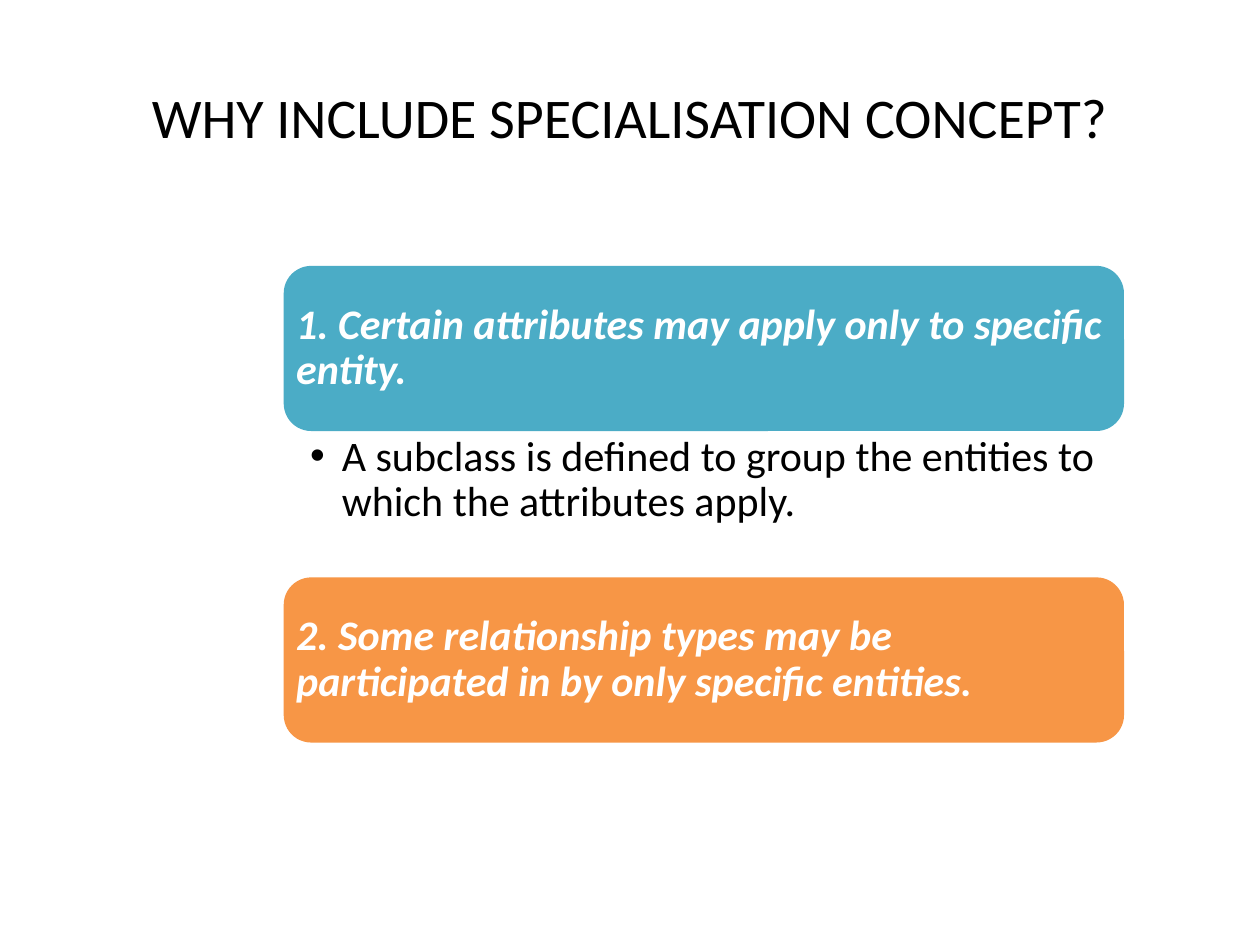
import dataclasses

import lxml.etree
import pptx
import pptx.dml.color
import pptx.enum.shapes
import pptx.enum.text
import pptx.oxml.ns
import pptx.util

Cm = pptx.util.Cm
Align = pptx.enum.text.PP_ALIGN
Anchor = pptx.enum.text.MSO_ANCHOR


@dataclasses.dataclass(frozen=True)
class Theme:
    font: str = "Calibri"
    ink: str = "000000"
    pale: str = "FFFFFF"
    teal: str = "4BACC6"
    orange: str = "F79646"
    head: int = 32
    text: int = 24


@dataclasses.dataclass(frozen=True)
class Box:
    left: float
    top: float
    width: float
    height: float


@dataclasses.dataclass(frozen=True)
class Card:
    text: str
    fill: str


THEME = Theme()
LEFT, TOP, WIDTH = 5.72, 5.36, 16.94
CARD, GAP = 3.33, 2.95
CARDS = [
    Card("1. Certain attributes may apply only to specific entity.", THEME.teal),
    Card("2. Some relationship types may be participated in by only specific entities.", THEME.orange),
]


def place(shape, box: Box) -> None:
    shape.left, shape.top = Cm(box.left), Cm(box.top)
    shape.width, shape.height = Cm(box.width), Cm(box.height)


def write(shape, text: str, *, size: int = THEME.text, color: str = THEME.ink,
          bold: bool = False, italic: bool = False, align=Align.LEFT,
          anchor=Anchor.MIDDLE, inset=(0.25, 0.13, 0.25, 0.13),
          space: float = 1.0) -> None:
    frame = shape.text_frame
    frame.word_wrap = True
    frame.auto_size = pptx.enum.text.MSO_AUTO_SIZE.NONE
    frame.vertical_anchor = anchor
    frame.margin_left, frame.margin_top, frame.margin_right, frame.margin_bottom = map(Cm, inset)
    frame.text = text
    para = frame.paragraphs[0]
    para.alignment = align
    para.line_spacing = space
    para.space_before = pptx.util.Pt(0)
    font = para.runs[0].font
    font.name = THEME.font
    font.size = pptx.util.Pt(size)
    font.bold, font.italic = bold, italic
    font.color.rgb = pptx.dml.color.RGBColor.from_string(color)


def bullet(para, mark: str, indent: float) -> None:
    props = para._p.get_or_add_pPr()
    props.set("marL", str(Cm(indent)))
    props.set("indent", str(-Cm(indent)))
    qn = pptx.oxml.ns.qn
    lxml.etree.SubElement(props, qn("a:buFont")).set("typeface", "Arial")
    lxml.etree.SubElement(props, qn("a:buChar")).set("char", mark)


def draw(slide, card: Card, box: Box) -> None:
    shape = slide.shapes.add_shape(
        pptx.enum.shapes.MSO_SHAPE.ROUNDED_RECTANGLE, 0, 0, 0, 0)
    place(shape, box)
    shape.shadow.inherit = False
    shape.fill.solid()
    shape.fill.fore_color.rgb = pptx.dml.color.RGBColor.from_string(card.fill)
    shape.line.fill.background()
    write(shape, card.text, color=THEME.pale, bold=True, italic=True,
          inset=(0.09, 0.09, 0.2, 0.09), space=0.9)


def main() -> None:
    deck = pptx.Presentation()
    deck.slide_width, deck.slide_height = Cm(25.4), Cm(19.05)
    slide = deck.slides.add_slide(deck.slide_layouts[1])
    title, body = slide.placeholders

    place(title, Box(1.27, 0.76, 22.86, 3.18))
    write(title, "WHY INCLUDE SPECIALISATION CONCEPT?", size=THEME.head, align=Align.CENTER)

    place(body, Box(LEFT, TOP + CARD, WIDTH, GAP))
    write(body, "A subclass is defined to group the entities to which the attributes apply.",
          anchor=Anchor.TOP, inset=(0.53, 0.08, 0.48, 0.08), space=0.9)
    bullet(body.text_frame.paragraphs[0], "•", 0.64)

    for row, card in enumerate(CARDS):
        draw(slide, card, Box(LEFT, TOP + row * (CARD + GAP), WIDTH, CARD))

    deck.save("out.pptx")


if __name__ == "__main__":
    main()
